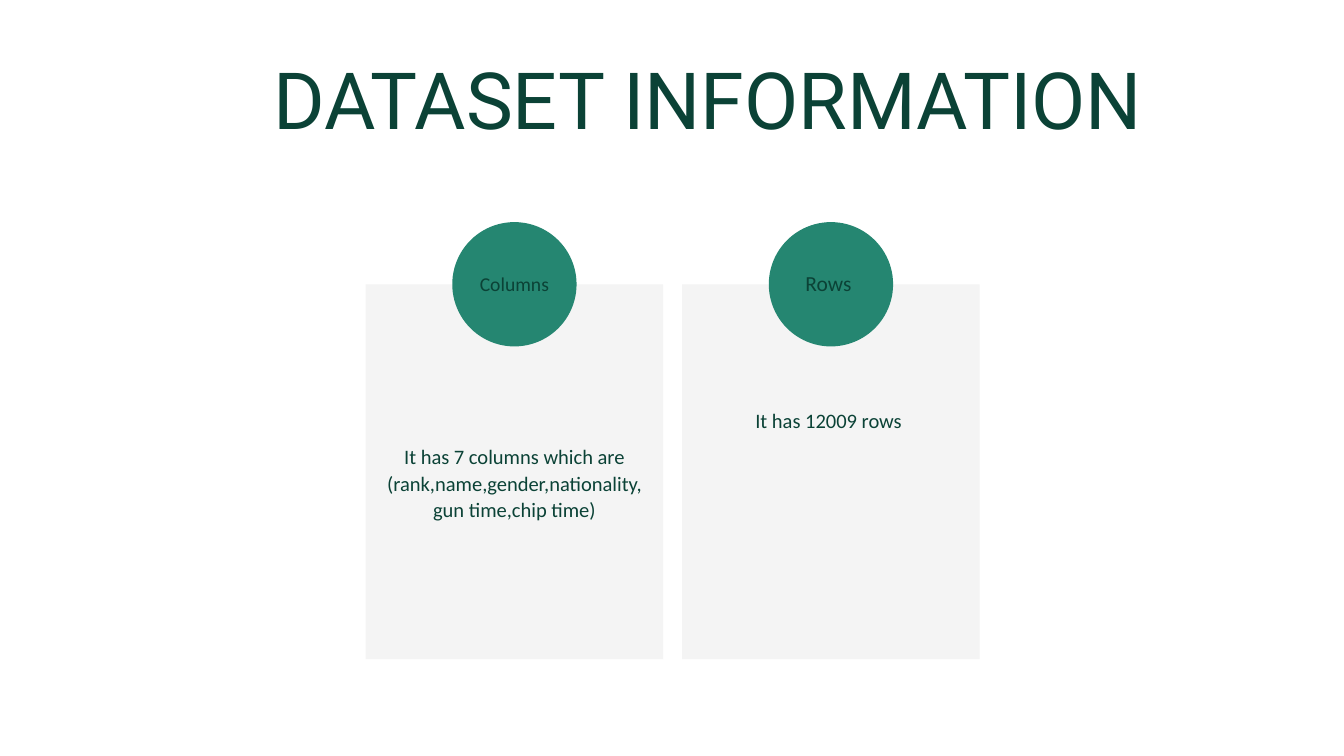
import pptx
import pptx.util
import pptx.dml.color
import pptx.enum.shapes
import pptx.enum.text

Inches = pptx.util.Inches
Pt = pptx.util.Pt
RGBColor = pptx.dml.color.RGBColor
SHAPE = pptx.enum.shapes.MSO_SHAPE
ANCHOR = pptx.enum.text.MSO_ANCHOR

DARK_GREEN = RGBColor(0x0B, 0x42, 0x36)
GREEN = RGBColor(0x25, 0x86, 0x71)
LIGHT_GREY = RGBColor(0xF4, 0xF4, 0xF4)

CARD_WIDTH = 4.43
CARD_HEIGHT = 5.58
CARD_TOP = 4.23
CARD_LEFT = 5.44
CARD_PITCH = 4.71
BADGE_SIZE = 1.85
LABEL_WIDTH = 1.5
LABEL_HEIGHT = 1.55


def add_panel(slide, kind, left, top, width, height, color):
    panel = slide.shapes.add_shape(
        kind, Inches(left), Inches(top), Inches(width), Inches(height))
    panel.shadow.inherit = False
    panel.fill.solid()
    panel.fill.fore_color.rgb = color
    panel.line.fill.background()


def add_text(slide, text, left, top, width, height, size, leading,
             font="Calibri", anchor=ANCHOR.MIDDLE, margins=(0, 0, 0, 0)):
    box = slide.shapes.add_textbox(
        Inches(left), Inches(top), Inches(width), Inches(height))
    frame = box.text_frame
    frame.word_wrap = True
    frame.vertical_anchor = anchor
    (frame.margin_left, frame.margin_top,
     frame.margin_right, frame.margin_bottom) = map(Inches, margins)
    frame.text = text
    paragraph = frame.paragraphs[0]
    paragraph.alignment = pptx.enum.text.PP_ALIGN.CENTER
    paragraph.line_spacing = Pt(leading)
    run = paragraph.runs[0]
    run.font.size = Pt(size)
    run.font.name = font
    run.font.color.rgb = DARK_GREEN


def add_title(slide, left, top, width, height):
    add_text(slide, "DATASET INFORMATION ", left, top, width, height,
             84.5, 101.4, font="Roboto", anchor=ANCHOR.TOP)


def add_card(slide, left, top, width, height, label, label_size, body,
             rise, margin_top, margin_bottom):
    add_panel(slide, SHAPE.RECTANGLE, left, top, width, height, LIGHT_GREY)
    add_text(slide, body, left, top - rise, width, height + rise, 22, 28.6,
             margins=(0.28, margin_top, 0.28, margin_bottom))
    center = left + width / 2
    add_panel(slide, SHAPE.OVAL, center - BADGE_SIZE / 2,
              top - BADGE_SIZE / 2, BADGE_SIZE, BADGE_SIZE, GREEN)
    add_text(slide, label, center - LABEL_WIDTH / 2,
             top - LABEL_HEIGHT / 2 - 0.03, LABEL_WIDTH, LABEL_HEIGHT,
             label_size, label_size * 1.3, margins=(0.06,) * 4)


def main():
    deck = pptx.Presentation()
    deck.slide_width = Inches(20)
    deck.slide_height = Inches(11.25)
    slide = deck.slides.add_slide(deck.slide_layouts[6])
    cards = [
        ("Columns", 21,
         "It has 7 columns which are "
         "(rank,name,gender,nationality,gun time,chip time)",
         0.1, 0.68, 0.28),
        ("Rows ", 23, "It has 12009 rows ", 0.2, 0.28, 1.64),
    ]
    for index, card in enumerate(cards):
        add_card(slide, CARD_LEFT + index * CARD_PITCH, CARD_TOP,
                 CARD_WIDTH, CARD_HEIGHT, *card)
    add_title(slide, 1.71, 0.75, 17.94, 1.42)
    deck.save("out.pptx")


if __name__ == "__main__":
    main()
